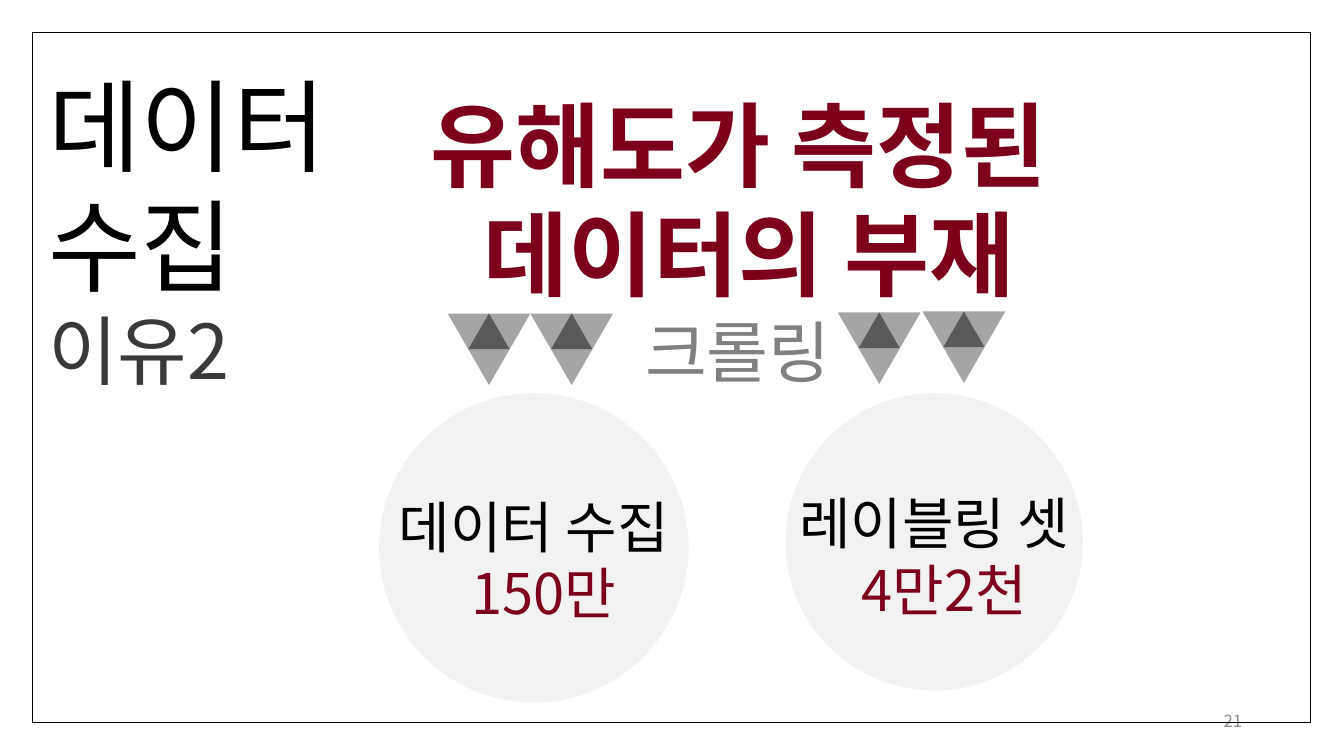
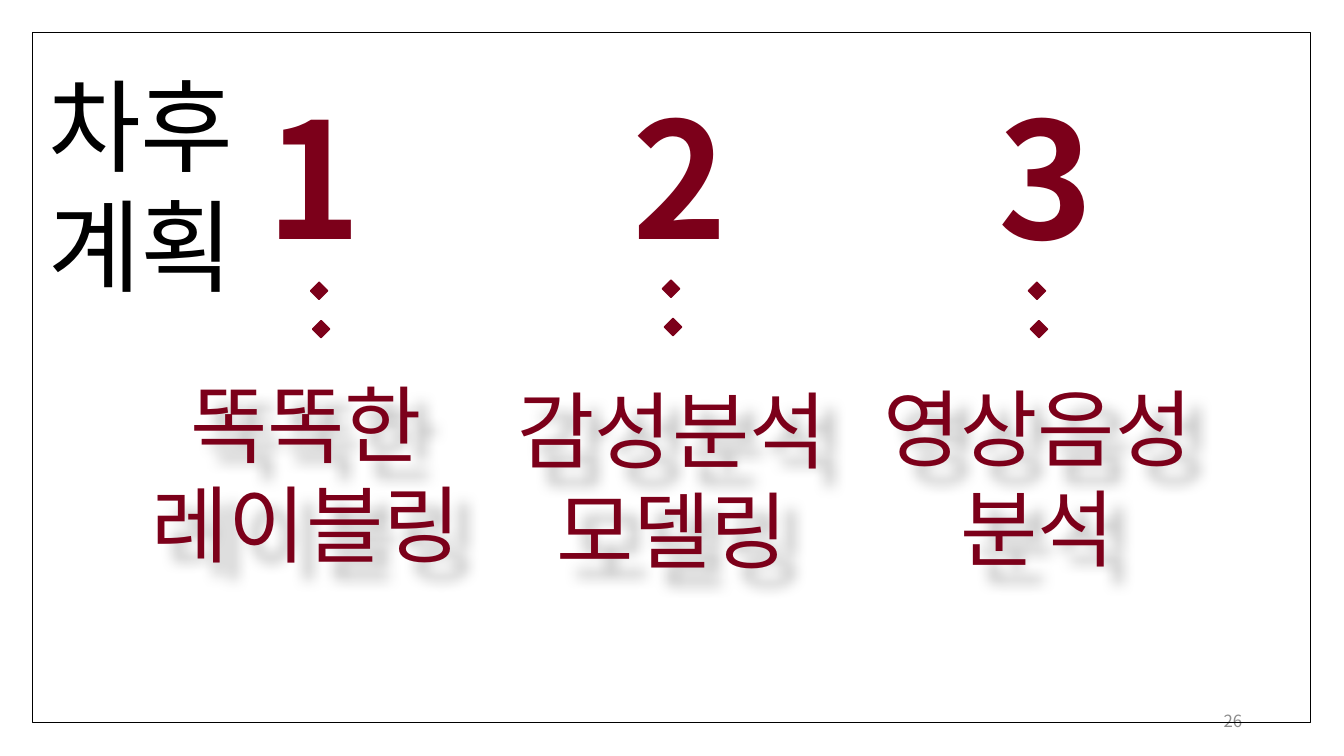
from dataclasses import dataclass

from lxml import etree
from pptx import Presentation
from pptx.dml.color import RGBColor
from pptx.enum.shapes import MSO_SHAPE
from pptx.enum.text import MSO_ANCHOR, PP_ALIGN
from pptx.oxml.ns import qn
from pptx.util import Inches, Pt


@dataclass(frozen=True)
class Theme:
    """Colours, typeface and type sizes of the deck."""
    font: str = "Noto Sans CJK KR"
    black: str = "000000"
    accent: str = "7C001A"
    subtitle: str = "3B3838"
    note: str = "808080"
    page: str = "8C8C8C"
    disc: str = "F2F2F2"
    arrow: str = "A5A5A5"
    arrow_core: str = "595959"
    title_size: int = 72
    subtitle_size: int = 54
    headline_size: int = 66
    label_size: int = 40
    note_size: int = 48
    plan_size: int = 60
    number_size: int = 115
    page_size: int = 12
    leading: float = 1.19


T = Theme()


def add_text(s, box, lines, align=PP_ALIGN.LEFT, anchor=MSO_ANCHOR.TOP, bold=False):
    """Add a text box with one paragraph per (text, size, colour) line."""
    sp = s.shapes.add_textbox(*map(Inches, box))
    tf = sp.text_frame
    tf.word_wrap = True
    tf.vertical_anchor = anchor
    for i, (text, size, color) in enumerate(lines):
        p = tf.add_paragraph() if i else tf.paragraphs[0]
        p.alignment = align
        p.line_spacing = Pt(round(size * T.leading, 1))
        r = p.add_run()
        r.text = text
        r.font.name = T.font
        r.font.size = Pt(size)
        r.font.bold = bold
        r.font.color.rgb = RGBColor.from_string(color)
        etree.SubElement(r.font._element, qn("a:ea"), typeface=T.font)
    return sp


def add_shape(s, kind, box, fill=None, line=None, rotation=0):
    """Add a flat preset shape."""
    sp = s.shapes.add_shape(kind, *map(Inches, box))
    sp.shadow.inherit = False
    sp.rotation = rotation
    if fill:
        sp.fill.solid()
        sp.fill.fore_color.rgb = RGBColor.from_string(fill)
    else:
        sp.fill.background()
    if line:
        sp.line.color.rgb = RGBColor.from_string(line)
        sp.line.width = Pt(1)
    else:
        sp.line.fill.background()
    return sp


def add_text_shadow(sp):
    """Give a text box a soft shadow to the lower right."""
    effects = etree.SubElement(sp._element.spPr, qn("a:effectLst"))
    shadow = etree.SubElement(effects, qn("a:outerShdw"), blurRad=str(Inches(0.14)),
                              dist=str(Inches(0.23)), dir="2700000", algn="tl",
                              rotWithShape="0")
    color = etree.SubElement(shadow, qn("a:srgbClr"), val=T.black)
    etree.SubElement(color, qn("a:alpha"), val="30000")


def add_base(prs, page, title, subtitle=None):
    """Add a slide with its page number, frame and title."""
    s = prs.slides.add_slide(prs.slide_layouts[6])
    add_text(s, (9.42, 6.95, 3, 0.4), [(page, T.page_size, T.page)],
             PP_ALIGN.RIGHT, MSO_ANCHOR.MIDDLE)
    add_shape(s, MSO_SHAPE.RECTANGLE, (0.32, 0.32, 12.68, 6.85), line=T.black)
    lines = [(text, T.title_size, T.black) for text in title]
    if subtitle:
        lines.append((subtitle, T.subtitle_size, T.subtitle))
    add_text(s, (0.38, 0.59, 2.98, 3.53), lines)
    return s


def add_arrow(s, x, y, w=0.82, h=0.71):
    """Add a downward triangle with a small dark triangle in its top half."""
    add_shape(s, MSO_SHAPE.ISOSCELES_TRIANGLE, (x, y, w, h), T.arrow, rotation=180)
    add_shape(s, MSO_SHAPE.ISOSCELES_TRIANGLE, (x + w / 4, y, w / 2, h / 2), T.arrow_core)


def add_disc(s, x, y, d, label, amount):
    """Add a disc with a label and an amount."""
    add_shape(s, MSO_SHAPE.FLOWCHART_CONNECTOR, (x, y, d, d), T.disc)
    sp = add_text(s, (x - 0.1, y + 0.306 * d, d + 0.2, 2.12),
                  [(label, T.label_size, T.black), (amount, T.label_size, T.accent)],
                  PP_ALIGN.CENTER)
    sp.text_frame.paragraphs[1]._p.get_or_add_pPr().set("marL", str(Inches(0.2)))


def add_plan(s, x, y, w, number, lines, dots):
    """Add a plan column: number, two diamonds and shadowed wording."""
    sp = add_text(s, (x, y, w, 1.45), [(text, T.plan_size, T.accent) for text in lines],
                  PP_ALIGN.CENTER, MSO_ANCHOR.MIDDLE)
    add_text_shadow(sp)
    add_text(s, (x + 0.08, 0.75, w, 2.04), [(number, T.number_size, T.accent)],
             PP_ALIGN.CENTER, bold=True)
    dot_x, dot_y = dots
    for dx, dy in ((0, 0), (0.02, 0.38)):
        add_shape(s, MSO_SHAPE.DIAMOND, (dot_x + dx, dot_y + dy, 0.17, 0.17),
                  T.accent, T.accent)


def build_collection(prs):
    """Build the data collection slide."""
    s = add_base(prs, "21", ["데이터", "수집"], "이유2")
    add_text(s, (2.23, 0.83, 10.39, 2.32),
             [(text, T.headline_size, T.accent) for text in ("유해도가 측정된 ", "데이터의 부재")],
             PP_ALIGN.CENTER, bold=True)
    for x, y in ((4.44, 3.11), (5.26, 3.11), (8.31, 3.1), (9.15, 3.09)):
        add_arrow(s, x, y)
    add_text(s, (6.3, 3.04, 2.19, 0.91), [("크롤링", T.note_size, T.note)])
    add_disc(s, 3.76, 3.9, 3.07, "데이터 수집", "150만")
    add_disc(s, 7.79, 3.9, 2.95, "레이블링 셋", "4만2천")


def build_plans(prs):
    """Build the future plans slide."""
    s = add_base(prs, "26", ["차후", "계획"])
    plans = (
        (3.97, ("똑똑한", "레이블링"), (3.08, 2.8)),
        (4.03, ("감성분석", "모델링"), (6.57, 2.78)),
        (4.01, ("영상음성", "분석"), (10.2, 2.8)),
    )
    for i, (y, lines, dots) in enumerate(plans):
        add_plan(s, 1.27 + 3.63 * i, y, 3.53, str(i + 1), lines, dots)


def main():
    """Build and save the deck."""
    prs = Presentation()
    prs.slide_width, prs.slide_height = Inches(13.33), Inches(7.5)
    build_collection(prs)
    build_plans(prs)
    prs.save("out.pptx")


if __name__ == "__main__":
    main()
